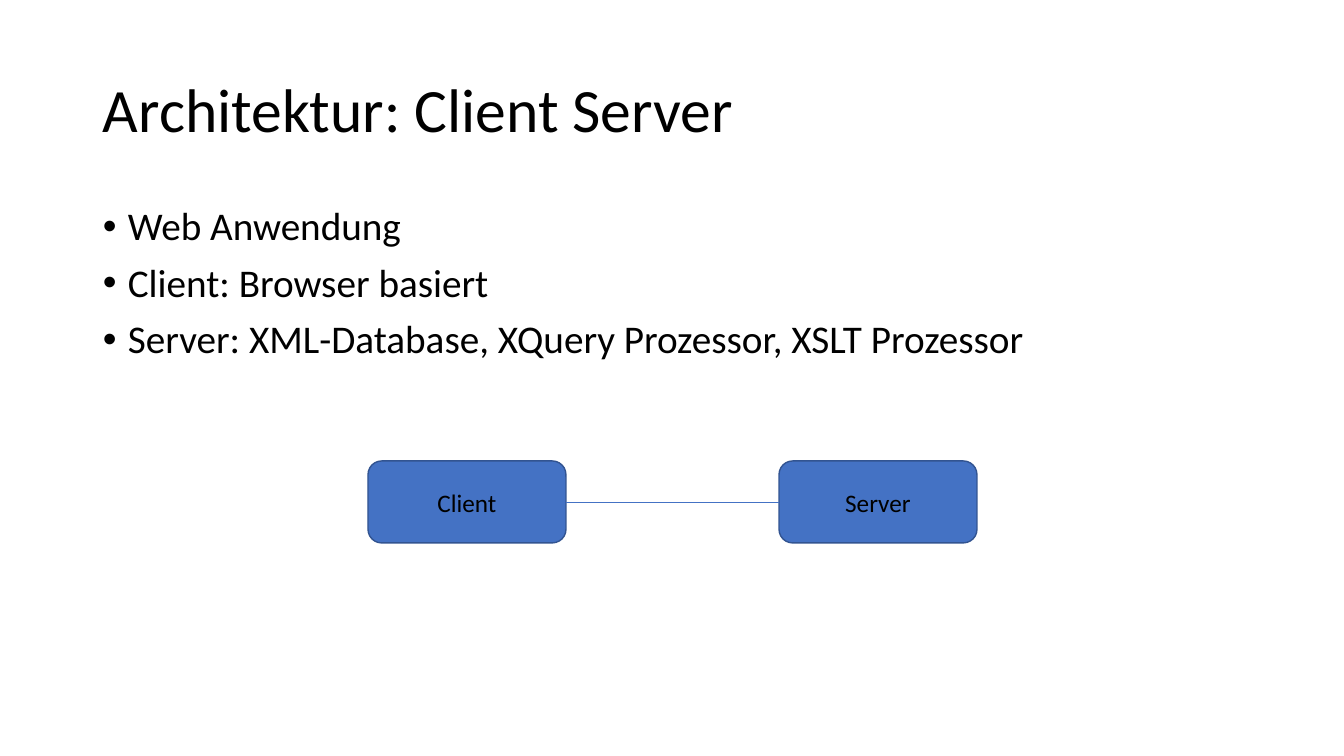
from dataclasses import dataclass

from lxml.etree import SubElement
from pptx import Presentation
from pptx.dml.color import RGBColor
from pptx.enum.shapes import MSO_CONNECTOR, MSO_SHAPE
from pptx.enum.text import MSO_ANCHOR, PP_ALIGN
from pptx.oxml.ns import qn
from pptx.util import Pt

# Content
TITLE = "Architektur: Client Server"
POINTS = [
    "Web Anwendung",
    "Client: Browser basiert",
    "Server: XML-Database, XQuery Prozessor, XSLT Prozessor",
]
NODES = ["Client", "Server"]


@dataclass(frozen=True)
class Theme:
    font: str = "Calibri"
    ink: str = "000000"
    fill: str = "4472C4"
    edge: str = "325491"
    head: int = 44
    body: int = 28
    label: int = 18


THEME = Theme()

# Layout in px
SCALE = 914400 / 100.8
WIDE, HIGH = 1344, 756
LEFT, SPAN = 93, 1159
NODE_X, NODE_Y, NODE_W, NODE_H = 368, 461, 198, 82
STEP = 411
INDENT = 25


def px(num):
    return round(num * SCALE)


def color(code):
    return RGBColor.from_string(code)


def write(shape, lines, size, anchor=MSO_ANCHOR.TOP, align=PP_ALIGN.LEFT,
          space=1.0, gap=0, bullet=False):
    frame = shape.text_frame
    frame.word_wrap = True
    frame.vertical_anchor = anchor
    for i, line in enumerate(lines):
        para = frame.add_paragraph() if i else frame.paragraphs[0]
        para.alignment = align
        para.line_spacing = space
        para.space_before = Pt(gap if i else 0)
        if bullet:
            props = para._p.get_or_add_pPr()
            props.set("marL", str(px(INDENT)))
            props.set("indent", str(-px(INDENT)))
            SubElement(props, qn("a:buFont"), typeface="Arial")
            SubElement(props, qn("a:buChar"), char="•")
        run = para.add_run()
        run.text = line
        run.font.name = THEME.font
        run.font.size = Pt(size)
        run.font.color.rgb = color(THEME.ink)


def add_node(slide, i, name):
    node = slide.shapes.add_shape(
        MSO_SHAPE.ROUNDED_RECTANGLE, px(NODE_X + i * STEP), px(NODE_Y),
        px(NODE_W), px(NODE_H))
    node.shadow.inherit = False
    node.fill.solid()
    node.fill.fore_color.rgb = color(THEME.fill)
    node.line.color.rgb = color(THEME.edge)
    node.line.width = Pt(1)
    write(node, [name], THEME.label, anchor=MSO_ANCHOR.MIDDLE,
          align=PP_ALIGN.CENTER)
    return node


def main():
    deck = Presentation()
    deck.slide_width, deck.slide_height = px(WIDE), px(HIGH)
    slide = deck.slides.add_slide(deck.slide_layouts[6])

    # Title and bullet list
    title = slide.shapes.add_textbox(px(LEFT), px(40), px(SPAN), px(146))
    write(title, [TITLE], THEME.head, anchor=MSO_ANCHOR.MIDDLE, space=0.9)
    body = slide.shapes.add_textbox(px(LEFT), px(202), px(SPAN), px(480))
    write(body, POINTS, THEME.body, space=0.9, gap=10, bullet=True)

    # Client and server, joined by a line
    client, server = [add_node(slide, i, name) for i, name in enumerate(NODES)]
    link = slide.shapes.add_connector(MSO_CONNECTOR.STRAIGHT, 0, 0, 0, 0)
    link.begin_connect(client, 3)
    link.end_connect(server, 1)
    link.line.color.rgb = color(THEME.fill)
    link.line.width = Pt(0.5)
    SubElement(link._element.spPr, qn("a:effectLst"))

    deck.save("out.pptx")


if __name__ == "__main__":
    main()
